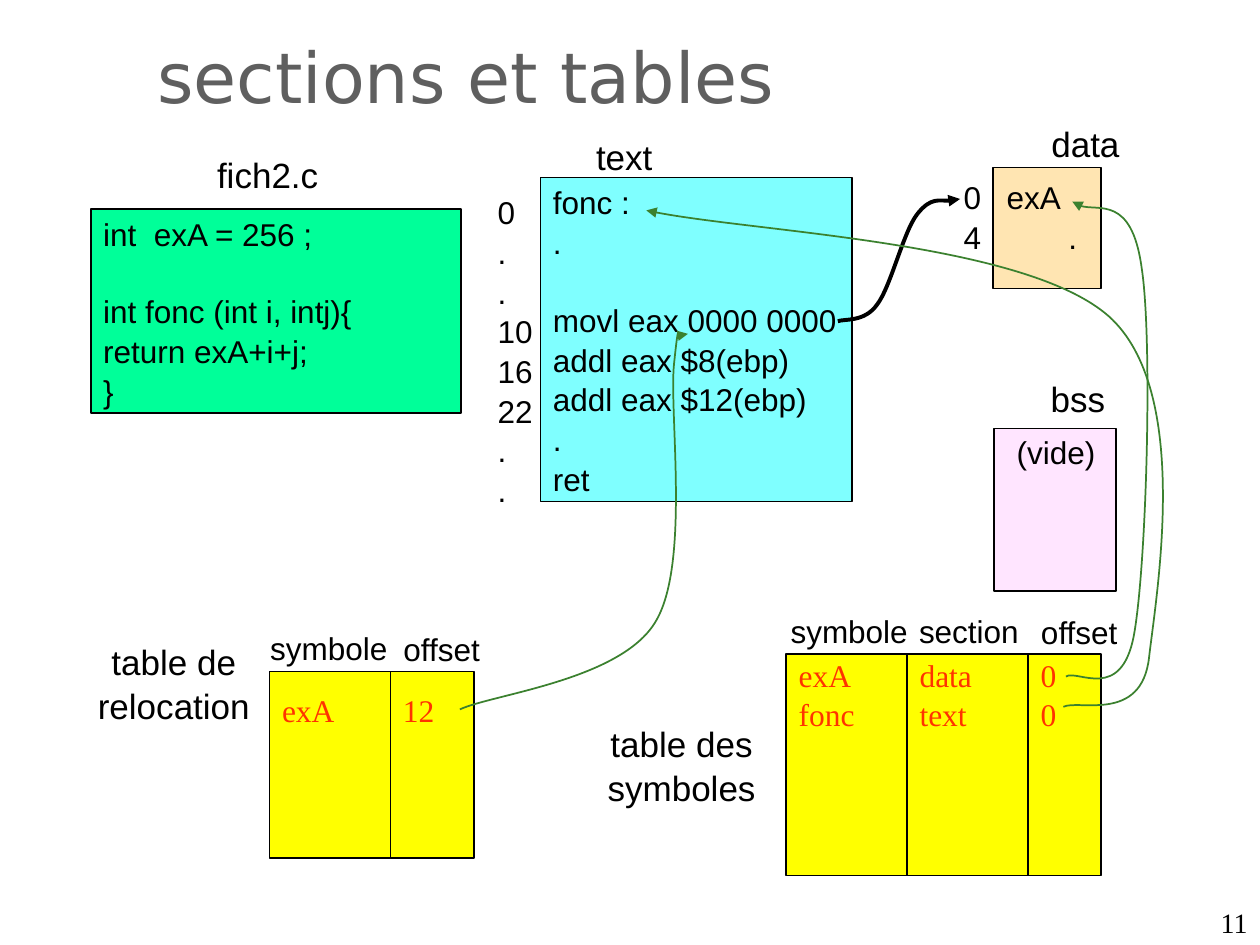
"""Build a slide on object file sections, symbol table and relocation table."""
from pptx import Presentation
from pptx.dml.color import RGBColor
from pptx.enum.shapes import MSO_SHAPE
from pptx.enum.text import MSO_ANCHOR, PP_ALIGN
from pptx.oxml.ns import qn
from pptx.oxml.xmlchemy import OxmlElement
from pptx.util import Inches, Pt


def color(value):
    return RGBColor.from_string(value)


class SectionSlide:
    SANS, SERIF, TITLE = "Arial", "Times New Roman", "DejaVu Sans"
    BLACK, RED, GREEN, GRAY, YELLOW = "000000", "FF3300", "3B812F", "5F5F5F", "FFFF00"
    SPACING = 1.05
    BLANK_LINE = Pt(21.7)

    def __init__(self, deck):
        self.slide = deck.slides.add_slide(deck.slide_layouts[5])

    def style(self, paragraph, size, font, ink, align=PP_ALIGN.LEFT):
        paragraph.alignment = align
        paragraph.font.size = Pt(size)
        paragraph.font.name = font
        paragraph.font.color.rgb = color(ink)

    def fill_text(self, frame, lines, size=18, font=SANS, ink=BLACK, align=PP_ALIGN.LEFT):
        frame.word_wrap = True
        gap = False
        paragraph = None
        for line in lines:
            if not line:
                gap = True
                continue
            paragraph = frame.add_paragraph() if paragraph else frame.paragraphs[0]
            paragraph.text = line
            paragraph.line_spacing = self.SPACING
            if gap:
                paragraph.space_before = self.BLANK_LINE
            self.style(paragraph, size, font, ink, align)
            gap = False

    def title(self, text, left, top, width, height):
        heading = self.slide.shapes.title
        heading.left, heading.top = Inches(left), Inches(top)
        heading.width, heading.height = Inches(width), Inches(height)
        heading.text_frame.text = text
        heading.text_frame.vertical_anchor = MSO_ANCHOR.MIDDLE
        self.style(heading.text_frame.paragraphs[0], 40, self.TITLE, self.GRAY)

    def box(self, left, top, width, height, fill, opacity=100):
        rectangle = self.slide.shapes.add_shape(
            MSO_SHAPE.RECTANGLE, Inches(left), Inches(top), Inches(width), Inches(height))
        rectangle.shadow.inherit = False
        rectangle.fill.solid()
        rectangle.fill.fore_color.rgb = color(fill)
        if opacity < 100:
            alpha = OxmlElement("a:alpha")
            alpha.set("val", str(opacity * 1000))
            rectangle._element.spPr.find(qn("a:solidFill"))[0].append(alpha)
        rectangle.line.color.rgb = color(self.BLACK)
        rectangle.line.width = Pt(1)
        rectangle.text_frame.margin_right = 0
        return rectangle

    def code(self, lines, *area):
        frame = self.box(*area).text_frame
        frame.vertical_anchor = MSO_ANCHOR.MIDDLE
        self.fill_text(frame, lines)

    def table(self, left, top, height, inset, columns):
        for width, entries in columns:
            frame = self.box(left, top, width, height, self.YELLOW).text_frame
            frame.vertical_anchor = MSO_ANCHOR.TOP
            frame.margin_top = Inches(inset)
            self.fill_text(frame, entries, font=self.SERIF, ink=self.RED)
            left += width

    def label(self, lines, left, top, width, height, **looks):
        caption = self.slide.shapes.add_textbox(
            Inches(left), Inches(top), Inches(width), Inches(height))
        self.fill_text(caption.text_frame, lines, **looks)
        return caption.text_frame

    def heading(self, text, left, top, width=1.03, height=0.44, size=20):
        self.label([text], left, top, width, height, size=size, align=PP_ALIGN.CENTER)

    def curve(self, points, ink=GREEN, weight=1):
        start, *rest = [(Inches(x), Inches(y)) for x, y in points]
        builder = self.slide.shapes.build_freeform(*start)
        builder.add_line_segments(rest, close=False)
        arrow = builder.convert_to_shape()
        arrow.shadow.inherit = False
        arrow.fill.background()
        arrow.line.color.rgb = color(ink)
        arrow.line.width = Pt(weight)
        properties = arrow._element.spPr
        segments = list(properties.iter(qn("a:lnTo")))
        for first in range(0, len(segments), 3):
            bezier = OxmlElement("a:cubicBezTo")
            segments[first].addprevious(bezier)
            for segment in segments[first:first + 3]:
                bezier.append(segment[0])
                segment.getparent().remove(segment)
        tail = OxmlElement("a:tailEnd")
        tail.set("type", "triangle")
        properties.find(qn("a:ln")).append(tail)


def main():
    deck = Presentation()
    deck.slide_width, deck.slide_height = Inches(10), Inches(7.5)
    page = SectionSlide(deck)
    page.title("sections et tables", 1.15, 0.14, 5.66, 0.92)

    page.code(["int  exA = 256 ;", "", "int fonc (int i, intj){", "return exA+i+j;", "}"],
              0.72, 1.66, 2.94, 1.62, "00FF99")
    page.code(["fonc :", ".", "", "movl eax 0000 0000", "addl eax $8(ebp)",
               "addl eax $12(ebp)", ".", "ret"], 4.29, 1.41, 2.47, 2.57, "00FFFF", 50)
    page.box(7.88, 1.33, 0.86, 0.96, "FFCC66", 50)
    page.box(7.89, 3.4, 0.97, 1.29, "FFCCFF", 50)
    page.table(2.14, 5.33, 1.48, 0.14, [(0.96, ["exA"]), (0.66, ["12"])])
    page.table(6.24, 5.19, 1.76, 0, [
        (0.96, ["exA", "fonc"]), (0.96, ["data", "text"]), (0.58, ["0", "0"])])

    for name, left, top in [("fich2.c", 1.61, 1.15), ("text", 4.44, 1.01),
                            ("data", 8.1, 0.91), ("bss", 8.04, 2.93)]:
        page.heading(name, left, top)
    for name, left, top in [("table de relocation", 0.63, 5.02),
                            ("table des symboles", 4.66, 5.67)]:
        page.heading(name, left, top, 1.5, 0.77)
    for name, left, top, width in [
            ("symbole", 1.94, 4.93, 1.34), ("offset", 2.88, 4.94, 1.25),
            ("symbole", 6.07, 4.79, 1.34), ("section", 7.02, 4.79, 1.34),
            ("offset", 7.94, 4.8, 1.25)]:
        page.heading(name, left, top, width, 0.4, 18)

    page.label(["0", ".", ".", "10", "16", "22", ".", "."], 3.85, 1.47, 0.55, 2.5)
    page.label(["0", "4"], 7.55, 1.35, 0.55, 0.7)
    variable = page.label(["exA", "."], 7.89, 1.35, 0.78, 0.7)
    variable.paragraphs[1]._p.get_or_add_pPr().set("marL", str(Inches(0.49)))
    page.label(["(vide)"], 7.97, 3.37, 0.96, 0.4)

    page.curve([(6.65, 2.55), (6.7, 2.53), (6.86, 2.56), (6.96, 2.42), (7.07, 2.28),
                (7.17, 1.84), (7.28, 1.7), (7.39, 1.56), (7.55, 1.61), (7.62, 1.58)],
               page.BLACK, 2.25)
    page.curve([(3.65, 5.63), (3.91, 5.51), (4.92, 5.4), (5.2, 4.94), (5.48, 4.49),
                (5.31, 3.28), (5.35, 2.89), (5.39, 2.51), (5.43, 2.7), (5.46, 2.65)])
    page.curve([(8.46, 5.37), (8.55, 5.31), (8.9, 5.58), (9, 5.04), (9.1, 4.49),
                (9.15, 2.69), (9.06, 2.12), (8.98, 1.55), (8.62, 1.71), (8.51, 1.6)])
    page.curve([(8.44, 5.61), (8.56, 5.55), (9.06, 5.74), (9.12, 5.22), (9.18, 4.7),
                (9.46, 3.1), (8.8, 2.51), (8.13, 1.92), (5.89, 1.84), (5.13, 1.67)])

    number = page.label(["11"], 7.67, 7.14, 2.33, 0.36, size=16, font=page.SERIF,
                        align=PP_ALIGN.RIGHT)
    number.vertical_anchor = MSO_ANCHOR.BOTTOM
    deck.save("out.pptx")


if __name__ == "__main__":
    main()
